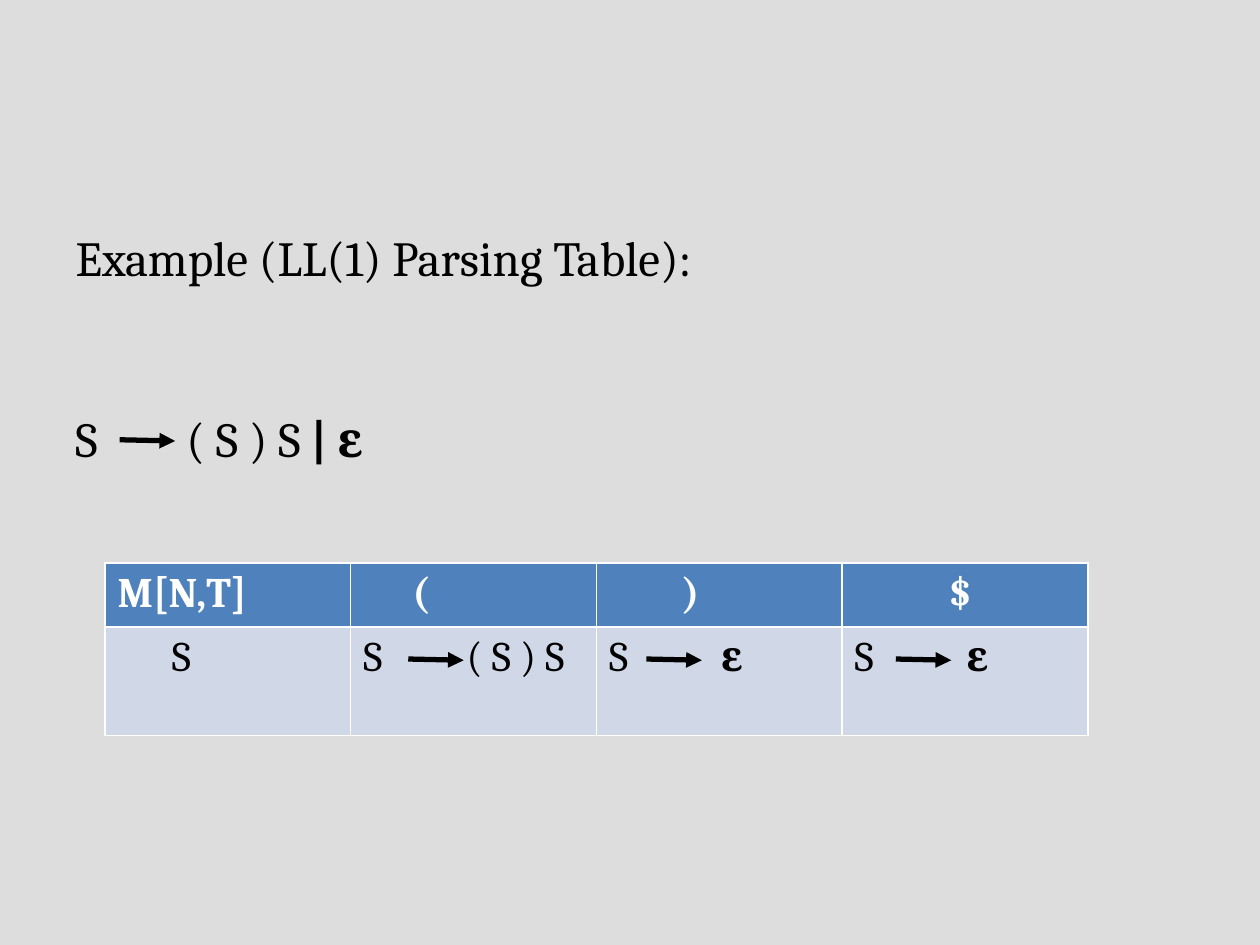
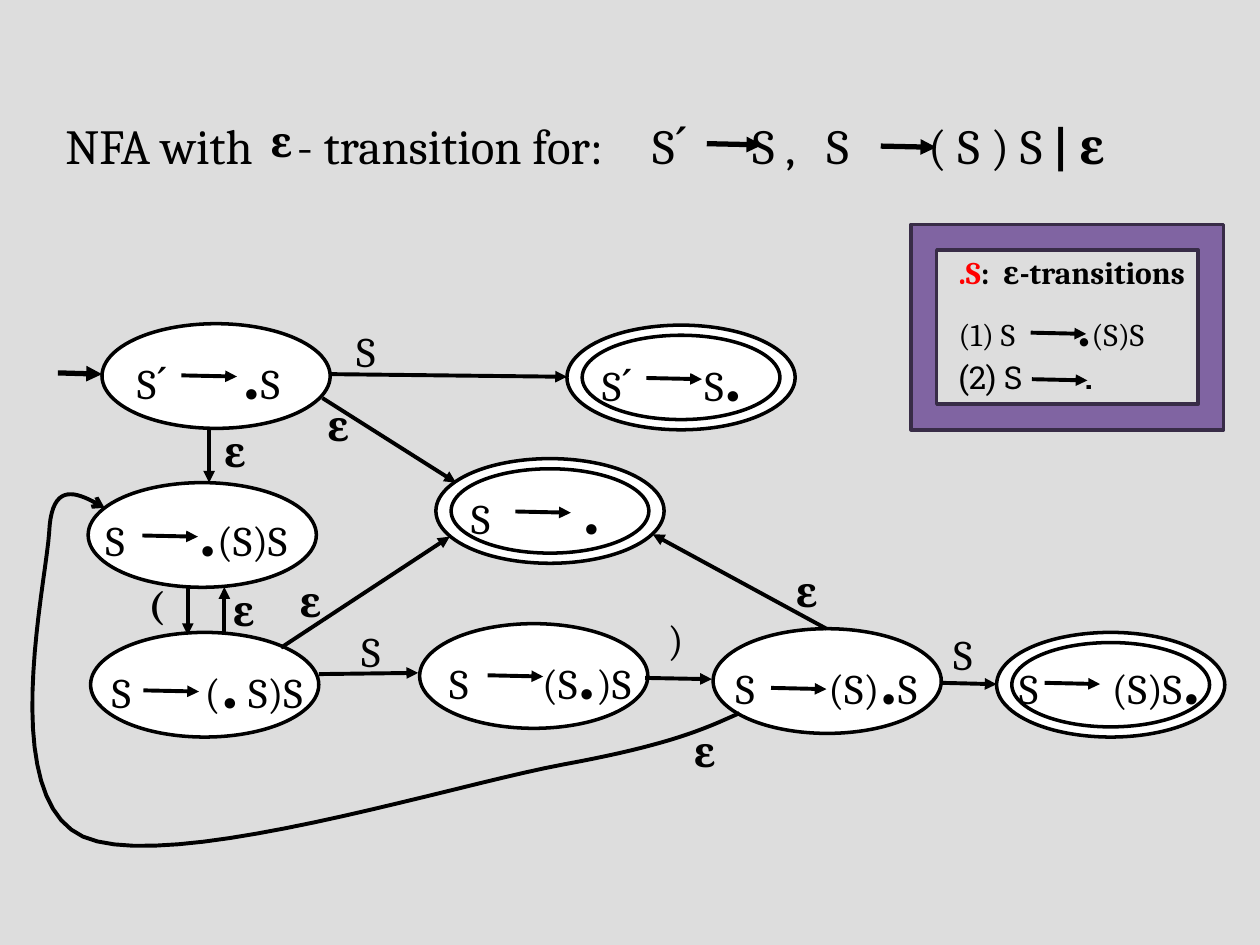
from dataclasses import dataclass, field
from typing import Any, NamedTuple

from lxml import etree
from pptx import Presentation
from pptx import util as u
from pptx.dml import color
from pptx.enum import shapes, text
from pptx.oxml import ns

Pt = u.Pt


@dataclass(frozen=True)
class Theme:
    background: str = "DDDDDD"
    ink: str = "000000"
    paper: str = "FFFFFF"
    header: str = "4F81BD"
    body: str = "D0D8E8"
    accent: str = "FF0000"
    frame: str = "8064A2"
    frame_edge: str = "382C47"
    serif: str = "Cambria"
    sans: str = "Calibri"
    slab: str = "Roboto Slab"
    title: float = 28
    label: float = 24
    parenthesis: float = 22
    dot: float = 40
    legend_dot: float = 32
    legend: float = 18
    outline: float = 2
    edge: float = 2.25
    heavy: float = 3


THEME = Theme()
ARROW_SPAN = (31.7, 0.7)
STATE_SIZE = (130.4, 59.8)
ACCEPT_SIZE = (113, 48.2)


class Words(NamedTuple):
    text: str
    size: float = THEME.label
    bold: bool = False
    font: str = THEME.serif
    ink: str = THEME.ink


class Label(NamedTuple):
    text: str
    left: float
    top: float
    bold: bool = False
    size: float = THEME.label


class Edge(NamedTuple):
    x1: float
    y1: float
    x2: float
    y2: float
    label: Label | None = None
    weight: float = THEME.edge


@dataclass(frozen=True)
class State:
    left: float
    top: float
    symbol: str
    before_dot: str
    after_dot: str
    arrow: tuple[float, float]
    indent: float
    tab: float = 53
    rise: float = 0
    accepting: bool = False


@dataclass(frozen=True)
class Cell:
    words: list[Words]
    indent: float = 0
    tabs: list[float] = field(default_factory=list)


def rgb(value: str) -> color.RGBColor:
    return color.RGBColor.from_string(value)


def assign(target: Any, values: dict[str, Any]) -> None:
    for name, value in values.items():
        setattr(target, name, value)


def write(paragraph: Any, words: list[Words], tabs: list[float] = ()) -> None:
    if tabs:
        stops = etree.SubElement(paragraph._p.get_or_add_pPr(), ns.qn("a:tabLst"))
        for position in tabs:
            etree.SubElement(stops, ns.qn("a:tab"), pos=str(Pt(position)), algn="l")
    for part in words:
        run = paragraph.add_run()
        run.text = part.text
        assign(run.font, {"name": part.font, "size": Pt(part.size), "bold": part.bold})
        run.font.color.rgb = rgb(part.ink)


def add_text(slide: Any, left: float, top: float, width: float, height: float,
             words: list[Words], tabs: list[float] = ()) -> Any:
    frame = slide.shapes.add_textbox(Pt(left), Pt(top), Pt(width), Pt(height)).text_frame
    assign(frame, {"word_wrap": True, "margin_right": 0})
    write(frame.paragraphs[0], words, tabs)
    return frame


def add_label(slide: Any, label: Label) -> None:
    add_text(slide, label.left, label.top, 36, 36,
             [Words(label.text, label.size, label.bold)])


def add_arrowhead(line: Any, kind: str) -> None:
    etree.SubElement(line._get_or_add_ln(), ns.qn("a:tailEnd"), type=kind)


def add_edge(slide: Any, edge: Edge) -> None:
    arrow = slide.shapes.add_connector(
        shapes.MSO_CONNECTOR.STRAIGHT, Pt(edge.x1), Pt(edge.y1), Pt(edge.x2), Pt(edge.y2))
    arrow.line.color.rgb = rgb(THEME.ink)
    arrow.line.width = Pt(edge.weight)
    add_arrowhead(arrow.line, "triangle")
    etree.SubElement(arrow._element.spPr, ns.qn("a:effectLst"))
    if edge.label:
        add_label(slide, edge.label)


def add_derives(slide: Any, x: float, y: float, weight: float = THEME.edge) -> None:
    add_edge(slide, Edge(x, y, x + ARROW_SPAN[0], y + ARROW_SPAN[1], weight=weight))


def style_outline(shape: Any, fill: str | None, line: str, weight: float) -> None:
    shape.shadow.inherit = False
    if fill:
        shape.fill.solid()
        shape.fill.fore_color.rgb = rgb(fill)
    else:
        shape.fill.background()
    shape.line.color.rgb = rgb(line)
    shape.line.width = Pt(weight)


def add_figure(slide: Any, kind: Any, left: float, top: float, size: tuple[float, float],
               fill: str | None, line: str = THEME.ink) -> None:
    shape = slide.shapes.add_shape(kind, Pt(left), Pt(top), Pt(size[0]), Pt(size[1]))
    style_outline(shape, fill, line, THEME.outline)


def add_state(slide: Any, state: State) -> None:
    oval = shapes.MSO_SHAPE.OVAL
    add_figure(slide, oval, state.left, state.top, STATE_SIZE, THEME.paper)
    if state.accepting:
        dx, dy = ((outer - inner) / 2 for outer, inner in zip(STATE_SIZE, ACCEPT_SIZE))
        add_figure(slide, oval, state.left + dx, state.top + dy, ACCEPT_SIZE, None)
    words = [Words(f"{state.symbol}\t{state.before_dot}"),
             Words(".", THEME.dot, True, THEME.sans)]
    if state.after_dot:
        words.append(Words(state.after_dot))
    add_text(slide, state.left + state.indent, state.top - state.rise, 122, 55.4,
             words, [state.tab])
    add_derives(slide, state.left + state.arrow[0], state.top + state.arrow[1])


def add_curve(slide: Any, start: tuple[float, float], segments: list[tuple]) -> None:
    steps = 20
    points = []
    origin = start
    for first, second, end in segments:
        for t in (step / steps for step in range(1, steps + 1)):
            s = 1 - t
            points.append(tuple(
                Pt(s**3 * a + 3 * s * s * t * b + 3 * s * t * t * c + t**3 * d)
                for a, b, c, d in zip(origin, first, second, end)))
        origin = end
    builder = slide.shapes.build_freeform(Pt(start[0]), Pt(start[1]))
    builder.add_line_segments(points, close=False)
    curve = builder.convert_to_shape()
    style_outline(curve, None, THEME.ink, THEME.edge)
    add_arrowhead(curve.line, "arrow")


def add_slide(deck: Any, left: float, top: float, words: list[Words],
              tabs: list[float] = ()) -> Any:
    slide = deck.slides.add_slide(deck.slide_layouts[5])
    slide.background.fill.solid()
    slide.background.fill.fore_color.rgb = rgb(THEME.background)
    title = slide.shapes.title
    assign(title, {"left": Pt(left), "top": Pt(top), "width": Pt(648), "height": Pt(44)})
    assign(title.text_frame, {"vertical_anchor": text.MSO_ANCHOR.TOP, "word_wrap": True,
                              "auto_size": text.MSO_AUTO_SIZE.NONE})
    heading = title.text_frame.paragraphs[0]
    heading.alignment = text.PP_ALIGN.LEFT
    write(heading, words, tabs)
    return slide


def add_parsing_table(slide: Any, rows: list[list[Cell]]) -> None:
    heights = (36.5, 62)
    table = slide.shapes.add_table(len(rows), len(rows[0]), Pt(60), Pt(321.8),
                                   Pt(561.6), Pt(sum(heights))).table
    for row, (cells, height) in enumerate(zip(rows, heights)):
        table.rows[row].height = Pt(height)
        for column, content in enumerate(cells):
            cell = table.cell(row, column)
            cell.margin_left = Pt(7.2 + content.indent)
            cell.fill.solid()
            cell.fill.fore_color.rgb = rgb(THEME.body if row else THEME.header)
            write(cell.text_frame.paragraphs[0], content.words, content.tabs)


def build_parsing_table_slide(deck: Any) -> None:
    slide = add_slide(deck, 36, 126.4, [Words("Example (LL(1) Parsing Table):", THEME.title)])
    add_text(slide, 36, 230, 648, 40, [Words("S\t( S ) S", THEME.title),
                                       Words(" | ɛ", THEME.title, True)], [63.5])
    add_derives(slide, 68.4, 251.3, THEME.heavy)
    terminals = [("M[N,T]", 0), ("(", 28), (")", 42), ("$", 53.5)]
    header = [Cell([Words(name, bold=True, ink=THEME.paper)], indent)
              for name, indent in terminals]
    empty = Cell([Words("S\t"), Words("ɛ", bold=True)], tabs=[64])
    add_parsing_table(slide, [header, [Cell([Words("S")], 31),
                                       Cell([Words("S\t( S ) S")], tabs=[59]), empty, empty]])
    for x in (233.3, 369.4, 511.9):
        add_derives(slide, x, 376.6, THEME.heavy)


def add_legend(slide: Any) -> None:
    size = THEME.legend
    add_figure(slide, shapes.MSO_SHAPE.FRAME, 520.6, 128.2, (178.6, 117.4),
               THEME.frame, THEME.frame_edge)
    frame = add_text(slide, 540.7, 141.1, 158.4, 90,
                     [Words(".S", size, True, ink=THEME.accent),
                      Words(":\tɛ-transitions", size, True)], [25.5])
    write(frame.add_paragraph(), [Words("(1) S\t", size),
                                  Words(".", THEME.legend_dot, True, THEME.sans),
                                  Words("(S)S", size)], [67.5])
    write(frame.add_paragraph(), [Words("(2) S\t", size, font=THEME.slab),
                                  Words(".", size, True, THEME.slab)], [72])
    for x, y in ((589, 190.1), (589.7, 216.7)):
        add_derives(slide, x, y)


def build_nfa_slide(deck: Any) -> None:
    slide = add_slide(
        deck, 30.2, 62.2,
        [Words("NFA with\t- transition for:\tSˊ\tS ,\tS\t( S ) S ", THEME.title),
         Words("| ɛ", THEME.title, True)], [132.3, 335.4, 392.6, 435, 493])
    add_label(slide, Label("ɛ", 147.6, 62.6, True))
    for x, y in ((403.9, 82.1), (503.3, 83.5)):
        add_derives(slide, x, y, THEME.heavy)

    states = [
        State(58.3, 185, "Sˊ", "", "S", (45.4, 29.5), 13, 60),
        State(324, 185.8, "Sˊ", "S", "", (45.4, 30.2), 13, 58.5, accepting=True),
        State(50.4, 275.8, "S", "", "(S)S", (31, 30.2), 2.9, rise=1.4),
        State(51.8, 361.4, "S", "(", " S)S", (30.2, 33.1), 5),
        State(249.1, 262.1, "S", "", "", (45.4, 30.2), 13, 63.5, accepting=True),
        State(407.5, 359.3, "S", "(S)", "S", (33.1, 33.8), 5.8),
        State(569.5, 361.4, "S", "(S)S", "", (27.4, 28.8), 5.8, rise=2.2, accepting=True),
        State(239.8, 356.4, "S", "(S", ")S", (38.9, 29.5), 10),
    ]
    for state in states:
        add_state(slide, state)

    transitions = [
        Edge(33.1, 213.1, 58.3, 213.8, weight=THEME.heavy),
        Edge(188.6, 213.8, 324, 215.3, Label("S", 196.6, 182.2)),
        Edge(119.5, 244.8, 119.5, 275.8, Label("ɛ", 121, 239.8, True)),
        Edge(107.3, 335.5, 107.3, 362.9, Label("(", 77.8, 328.3, True, THEME.parenthesis)),
        Edge(184.3, 227.5, 260.6, 275.8, Label("ɛ", 180, 224.6, True)),
        Edge(128.2, 361.4, 128.2, 335.5, Label("ɛ", 126, 330.5, True)),
        Edge(182.2, 385.2, 239, 384.5, Label("S", 199.4, 354.2)),
        Edge(368.6, 387.4, 406.8, 388.1, Label(")", 374.4, 347)),
        Edge(160.6, 370.1, 257, 306.7, Label("ɛ", 164.2, 325.4, True)),
        Edge(472.3, 359.3, 373, 305.3, Label("ɛ", 447.8, 319.7, True)),
        Edge(537.8, 390.2, 569.5, 391, Label("S", 537.8, 355.7)),
    ]
    for transition in transitions:
        add_edge(slide, transition)

    add_curve(slide, (422.6, 407.5), [
        ((403.2, 416.2), (383.8, 425.5), (321.1, 437)),
        ((258.5, 448.6), (96.5, 499.7), (47.5, 478.1)),
        ((-1.4, 455.8), (25.9, 336.2), (28.1, 304.6)),
        ((29.5, 273.6), (44.6, 281.5), (59.8, 290.2)),
    ])
    add_label(slide, Label("ɛ", 389.5, 411.1, True))
    add_legend(slide)


def main() -> None:
    deck = Presentation()
    assign(deck, {"slide_width": Pt(720), "slide_height": Pt(540)})
    build_parsing_table_slide(deck)
    build_nfa_slide(deck)
    deck.save("out.pptx")


if __name__ == "__main__":
    main()
